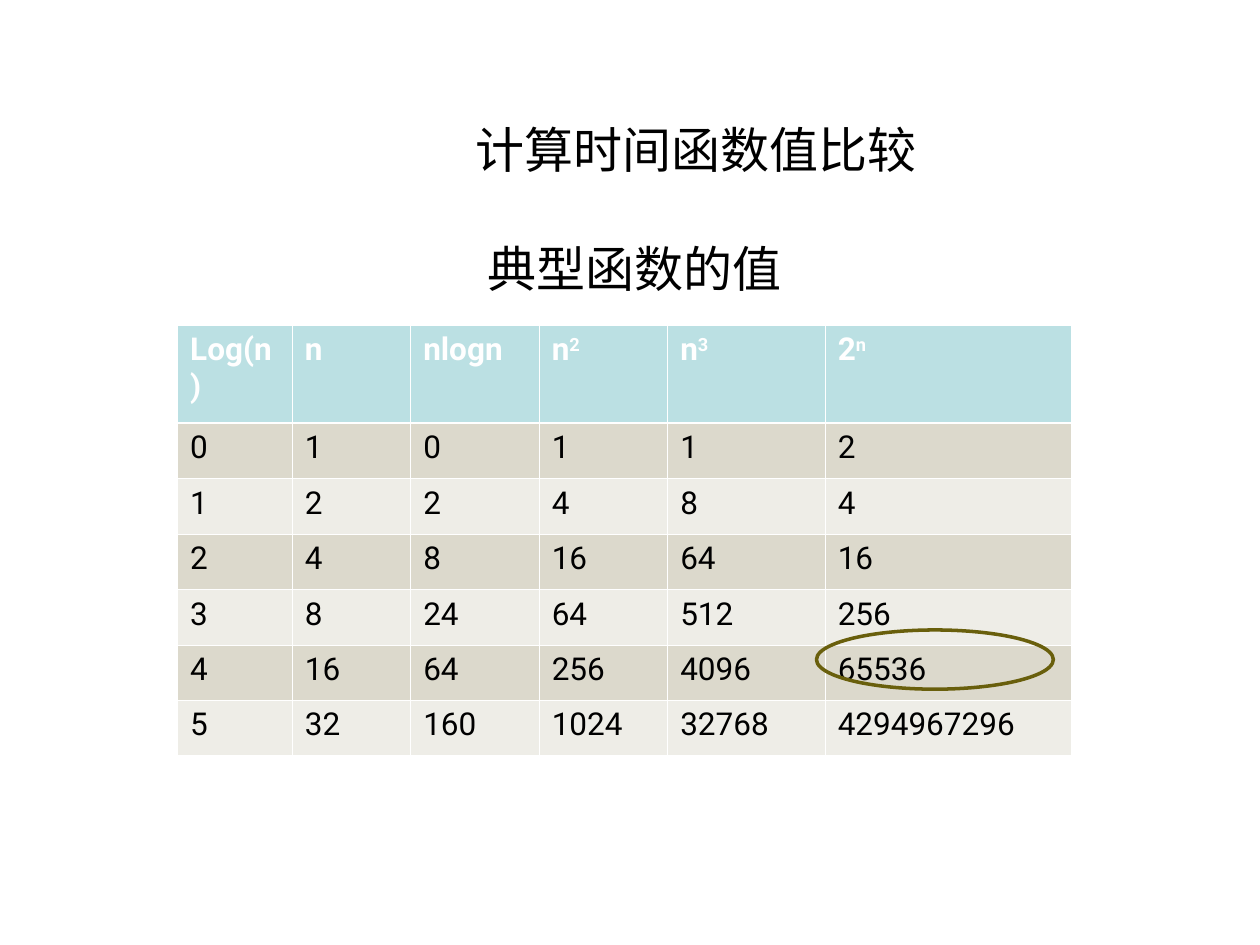
from dataclasses import dataclass

from lxml.etree import SubElement
from pptx import Presentation
from pptx.dml.color import RGBColor as Color
from pptx.enum.shapes import MSO_SHAPE as Shape
from pptx.enum.text import MSO_ANCHOR as Anchor, PP_ALIGN as Align
from pptx.oxml.ns import qn
from pptx.util import Inches, Pt


@dataclass(frozen=True)
class Theme:
    ink: str = "000000"
    white: str = "FFFFFF"
    header: str = "BBE0E3"
    bands: tuple = ("DCD9CC", "EEEDE7")
    ring: str = "695F0C"
    title_font: str = "Arial"
    cjk_font: str = "Noto Sans CJK SC"
    table_font: str = "Roboto"
    heading_size: int = 28
    table_size: int = 18
    thin: float = 0.45
    thick: float = 1.47
    ring_width: int = 2


THEME = Theme()
COLUMN_WIDTHS = (0.91, 0.94, 1.02, 1.02, 1.25, 1.95)
HEADER_HEIGHT, ROW_HEIGHT = 0.78, 0.44
HEADERS = (("Log(n)", ""), ("n", ""), ("nlogn", ""), ("n", "2"), ("n", "3"), ("2", "n"))


def add_span(para, text, *, font, size, color=THEME.ink, bold=False, raised=False):
    span = para.add_run()
    span.text = text
    span.font.name = font
    span.font.size = Pt(size)
    span.font.bold = bold
    span.font.color.rgb = Color.from_string(color)
    properties = span._r.get_or_add_rPr()
    SubElement(properties, qn("a:ea"), typeface=THEME.cjk_font)
    if raised:
        properties.set("baseline", "30000")


def add_heading(page, text, area, *, font, align=Align.LEFT, anchor=Anchor.TOP,
                wrap=True, indent=0.1):
    box = page.shapes.add_textbox(*map(Inches, area))
    frame = box.text_frame
    frame.word_wrap = wrap
    frame.vertical_anchor = anchor
    frame.margin_left = Inches(indent)
    para = frame.paragraphs[0]
    para.alignment = align
    add_span(para, text, font=font, size=THEME.heading_size)


def style_cell(cell, fill, top, bottom):
    properties = cell._tc.get_or_add_tcPr()
    borders = (("lnL", THEME.thin), ("lnR", THEME.thin), ("lnT", top), ("lnB", bottom))
    for side, width in borders:
        line = SubElement(properties, qn(f"a:{side}"), w=str(Pt(width)))
        paint = SubElement(line, qn("a:solidFill"))
        SubElement(paint, qn("a:srgbClr"), val=THEME.white)
    cell.fill.solid()
    cell.fill.fore_color.rgb = Color.from_string(fill)


def growth_row(log):
    n = 2 ** log
    return [(str(value), "") for value in (log, n, n * log, n ** 2, n ** 3, 2 ** n)]


def add_growth_table(page):
    rows = [HEADERS] + [growth_row(log) for log in range(6)]
    heights = [HEADER_HEIGHT] + [ROW_HEIGHT] * 6
    table = page.shapes.add_table(
        len(rows), len(HEADERS), Inches(1.41), Inches(2.58),
        Inches(sum(COLUMN_WIDTHS)), Inches(sum(heights)),
    ).table
    for column, width in zip(table.columns, COLUMN_WIDTHS):
        column.width = Inches(width)
    for index, (row, height, values) in enumerate(zip(table.rows, heights, rows)):
        row.height = Inches(height)
        is_header = index == 0
        fill = THEME.header if is_header else THEME.bands[(index - 1) % 2]
        top = THEME.thick if index == 1 else THEME.thin
        bottom = THEME.thick if is_header else THEME.thin
        style = dict(font=THEME.table_font, size=THEME.table_size, bold=is_header,
                     color=THEME.white if is_header else THEME.ink)
        for cell, (base, exponent) in zip(row.cells, values):
            style_cell(cell, fill, top, bottom)
            para = cell.text_frame.paragraphs[0]
            add_span(para, base, **style)
            if exponent:
                add_span(para, exponent, raised=True, **style)


def add_ring(page, area):
    ring = page.shapes.add_shape(Shape.OVAL, *map(Inches, area))
    ring.shadow.inherit = False
    ring.fill.background()
    ring.line.color.rgb = Color.from_string(THEME.ring)
    ring.line.width = Pt(THEME.ring_width)


def main():
    deck = Presentation()
    deck.slide_width, deck.slide_height = Inches(10), Inches(7.5)
    page = deck.slides.add_slide(deck.slide_layouts[6])
    add_heading(page, "计算时间函数值比较", (1.93, 0.84, 7.19, 0.69),
                font=THEME.title_font, align=Align.CENTER, anchor=Anchor.MIDDLE)
    add_growth_table(page)
    add_heading(page, "典型函数的值", (3.68, 1.84, 2.63, 0.57),
                font=THEME.cjk_font, wrap=False, indent=0.19)
    add_ring(page, (6.48, 5, 1.88, 0.47))
    deck.save("out.pptx")


if __name__ == "__main__":
    main()
